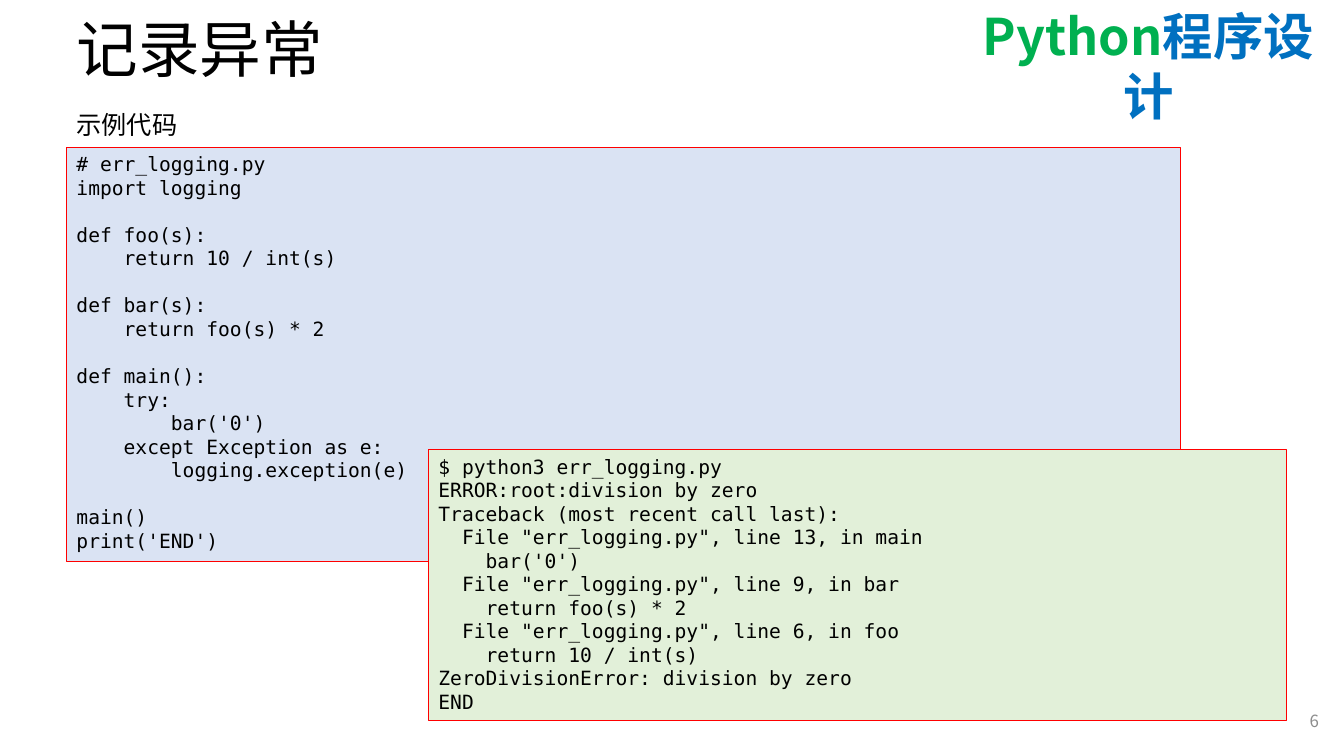
"""Build the slide on logging exceptions in Python."""
from lxml.etree import SubElement
from pptx import Presentation
from pptx.dml.color import RGBColor
from pptx.enum.shapes import MSO_SHAPE
from pptx.enum.text import MSO_ANCHOR, PP_ALIGN
from pptx.oxml import parse_xml
from pptx.oxml.ns import nsdecls, qn
from pptx.util import Inches, Pt

COLORS = {"black": "000000", "green": "00B050", "blue": "0070C0", "gray": "8C8C8C",
          "red": "FF0000", "white": "FFFFFF", "code": "DAE3F3", "output": "E2F0D9"}
SANS, MONO = "Noto Sans CJK SC", "DejaVu Sans Mono"

HEADER = [("Python", "green"), ("程序设计", "blue")]
TITLE = "记录异常"
CAPTION = "示例代码"
PAGE = "6"
CODE = """# err_logging.py
import logging

def foo(s):
    return 10 / int(s)

def bar(s):
    return foo(s) * 2

def main():
    try:
        bar('0')
    except Exception as e:
        logging.exception(e)

main()
print('END')"""
OUTPUT = """$ python3 err_logging.py
ERROR:root:division by zero
Traceback (most recent call last):
  File "err_logging.py", line 13, in main
    bar('0')
  File "err_logging.py", line 9, in bar
    return foo(s) * 2
  File "err_logging.py", line 6, in foo
    return 10 / int(s)
ZeroDivisionError: division by zero
END"""
PANELS = [(CODE, (0.66, 1.46, 11.05, 4.11), "code"),
          (OUTPUT, (4.25, 4.46, 8.51, 2.69), "output")]


def rgb(name):
    return RGBColor.from_string(COLORS[name])


def style(r, size, color, font=SANS, bold=False):
    r.font.size, r.font.name, r.font.bold = Pt(size), font, bold
    r.font.color.rgb = rgb(color)
    SubElement(r.font._element, qn("a:ea")).set("typeface", SANS)


def add_text(s, box, parts, size, font=SANS, bold=False,
             align=PP_ALIGN.LEFT, anchor=MSO_ANCHOR.TOP):
    tf = s.shapes.add_textbox(*map(Inches, box)).text_frame
    tf.word_wrap, tf.vertical_anchor = True, anchor
    p = tf.paragraphs[0]
    p.alignment = align
    for text, color in parts:
        r = p.add_run()
        r.text = text
        style(r, size, color, font, bold)
    return p


def add_panel(s, text, box, fill):
    sp = s.shapes.add_shape(MSO_SHAPE.RECTANGLE, *map(Inches, box))
    sp.shadow.inherit = False
    sp.fill.solid()
    sp.fill.fore_color.rgb = rgb(fill)
    sp.line.color.rgb, sp.line.width = rgb("red"), Pt(0.75)
    tf = sp.text_frame
    tf.word_wrap, tf.vertical_anchor = True, MSO_ANCHOR.TOP
    tf.text = text
    for p in tf.paragraphs:
        p.alignment = PP_ALIGN.LEFT
        for r in p.runs:
            style(r, 14, "black", MONO)
        if not p.runs:
            end = SubElement(p._p, qn("a:endParaRPr"), sz="1400")
            SubElement(end, qn("a:latin"), typeface=MONO)


def main():
    prs = Presentation()
    prs.slide_width, prs.slide_height = Inches(13.33), Inches(7.5)
    s = prs.slides.add_slide(prs.slide_layouts[6])

    header = add_text(s, (9.47, 0, 3.84, 0.71), HEADER, 36, bold=True,
                      align=PP_ALIGN.CENTER)
    for r in header.runs:
        r.font._element.insert(0, parse_xml(
            f'<a:ln {nsdecls("a")} w="9525"><a:solidFill>'
            f'<a:srgbClr val="{COLORS["white"]}"/></a:solidFill></a:ln>'))

    title = add_text(s, (0.66, 0, 11.5, 1.05), [(TITLE, "black")], 44, "Arial",
                     anchor=MSO_ANCHOR.MIDDLE)
    title.line_spacing = 0.9
    add_text(s, (10.18, 6.95, 3, 0.4), [(PAGE, "gray")], 12,
             align=PP_ALIGN.RIGHT, anchor=MSO_ANCHOR.MIDDLE)
    add_text(s, (0.66, 1.04, 12.1, 0.4), [(CAPTION, "black")], 18)
    for text, box, fill in PANELS:
        add_panel(s, text, box, fill)
    prs.save("out.pptx")


if __name__ == "__main__":
    main()
